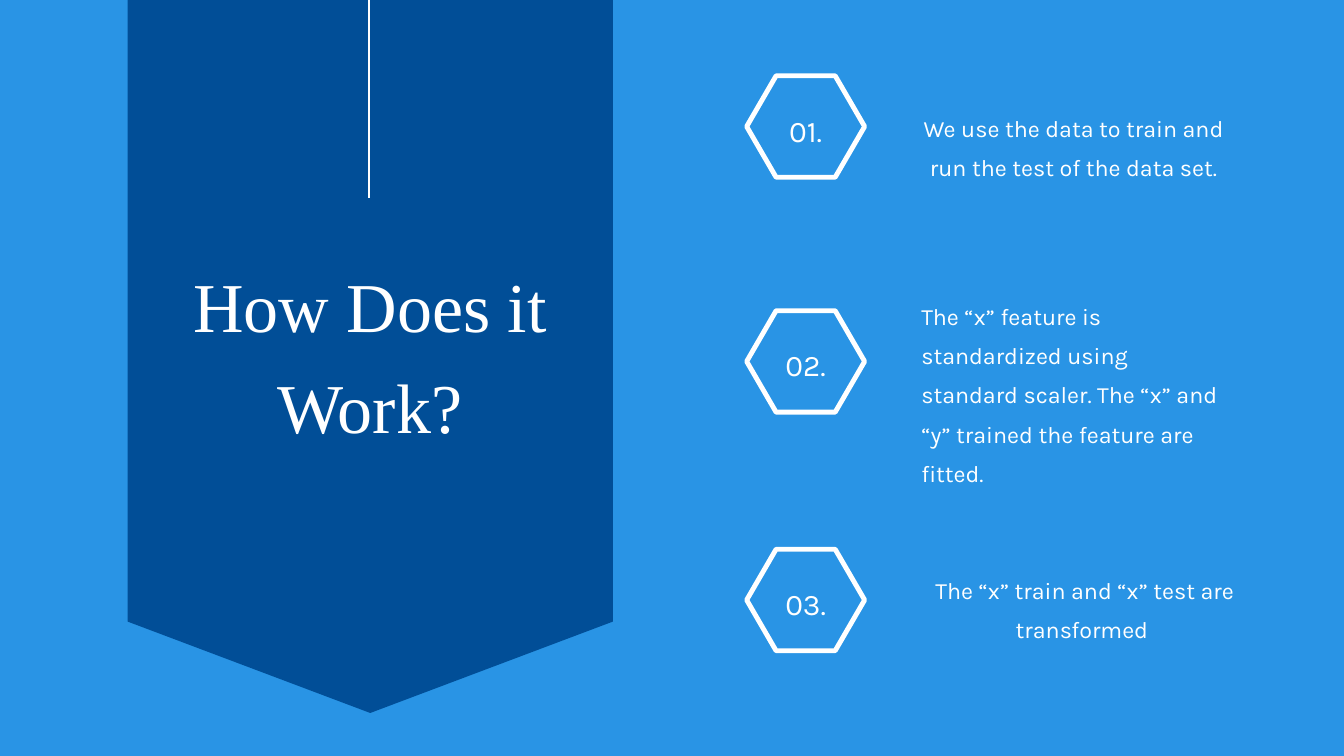
from dataclasses import dataclass

import pptx
import pptx.dml.color
import pptx.enum.shapes
import pptx.enum.text
import pptx.oxml
import pptx.oxml.ns
import pptx.util

Pt = pptx.util.Pt
RGBColor = pptx.dml.color.RGBColor
ALIGN = pptx.enum.text.PP_ALIGN
ANCHOR = pptx.enum.text.MSO_ANCHOR

SKY = RGBColor(0x29, 0x94, 0xE5)
NAVY = RGBColor(0x01, 0x4E, 0x97)
WHITE = RGBColor(0xFF, 0xFF, 0xFF)

HEXAGON_LEFT, HEXAGON_WIDTH, HEXAGON_HEIGHT = 800, 126.4, 108.7


@dataclass
class Step:
    number: str
    hexagon_top: float
    text: str
    left: float
    top: float
    width: float
    height: float
    align: ALIGN


STEPS = [
    Step("01.", 81.2, "We use the data to train and run the test of the data set.",
         987.1, 110.2, 326.2, 72.7, ALIGN.CENTER),
    Step("02.", 332.9, "The “x” feature is standardized using standard scaler. "
         "The “x” and “y” trained the feature are fitted.",
         987.1, 311.8, 326.2, 200.2, ALIGN.LEFT),
    Step("03.", 588.5, "The “x” train and “x” test are transformed ",
         997.2, 605.5, 329.8, 72.7, ALIGN.CENTER),
]


def write(shape, text: str, font: str, size: float, spacing: float,
          align: ALIGN, anchor: ANCHOR = ANCHOR.TOP) -> None:
    """Fill a shape with one white paragraph and no inner margins."""
    frame = shape.text_frame
    frame.text = text
    frame.word_wrap = True
    frame.auto_size = pptx.enum.text.MSO_AUTO_SIZE.NONE
    frame.vertical_anchor = anchor
    frame.margin_left = frame.margin_right = 0
    frame.margin_top = frame.margin_bottom = 0
    para = frame.paragraphs[0]
    para.alignment = align
    para.line_spacing = spacing
    para.space_before = Pt(0)
    for span in para.runs:
        span.font.name = font
        span.font.size = Pt(size)
        span.font.color.rgb = WHITE


def draw_banner(page) -> None:
    left, right, shoulder, tip = 136.8, 656.6, 666, 763.9
    builder = page.shapes.build_freeform(Pt(left), Pt(0), scale=1.0)
    corners = [(right, 0), (right, shoulder), ((left + right) / 2, tip), (left, shoulder)]
    builder.add_line_segments([(Pt(x), Pt(y)) for x, y in corners], close=True)
    banner = builder.convert_to_shape()
    banner.shadow.inherit = False
    banner.fill.solid()
    banner.fill.fore_color.rgb = NAVY
    banner.line.fill.background()


def draw_title(page) -> None:
    title = page.shapes.title
    title.left, title.top, title.width, title.height = Pt(147.6), Pt(263.5), Pt(497.5), Pt(200.2)
    write(title, "How Does it Work?", "Times New Roman", 75, 1.2, ALIGN.CENTER)
    # Bring the title in front of the banner
    title.element.getparent().append(title.element)


def draw_cord(page) -> None:
    cord = page.shapes.add_connector(
        pptx.enum.shapes.MSO_CONNECTOR.STRAIGHT, Pt(395.3), Pt(0), Pt(395.3), Pt(212.4))
    cord.line.color.rgb = WHITE
    cord.line.width = Pt(3)
    properties = cord.element.spPr
    properties.append(pptx.oxml.parse_xml(
        "<a:effectLst %s/>" % pptx.oxml.ns.nsdecls("a")))


def draw_step(page, step: Step) -> None:
    # Numbered hexagon
    hexagon = page.shapes.add_shape(
        pptx.enum.shapes.MSO_SHAPE.HEXAGON, Pt(HEXAGON_LEFT), Pt(step.hexagon_top),
        Pt(HEXAGON_WIDTH), Pt(HEXAGON_HEIGHT))
    hexagon.adjustments[0] = 0.29
    hexagon.shadow.inherit = False
    hexagon.fill.background()
    hexagon.line.color.rgb = WHITE
    hexagon.line.width = Pt(5.25)
    hexagon.line._ln.append(pptx.oxml.parse_xml(
        "<a:round %s/>" % pptx.oxml.ns.nsdecls("a")))
    write(hexagon, step.number, "Karla", 32, 1.2, ALIGN.CENTER, ANCHOR.MIDDLE)

    # Explanation
    box = page.shapes.add_textbox(Pt(step.left), Pt(step.top), Pt(step.width), Pt(step.height))
    write(box, step.text, "Karla", 25, 1.4, step.align)


def main() -> None:
    deck = pptx.Presentation()
    deck.slide_width, deck.slide_height = Pt(1440), Pt(810)
    page = deck.slides.add_slide(deck.slide_layouts[5])
    page.background.fill.solid()
    page.background.fill.fore_color.rgb = SKY

    draw_banner(page)
    draw_title(page)
    draw_cord(page)
    for step in STEPS:
        draw_step(page, step)
    deck.save("out.pptx")


if __name__ == "__main__":
    main()
